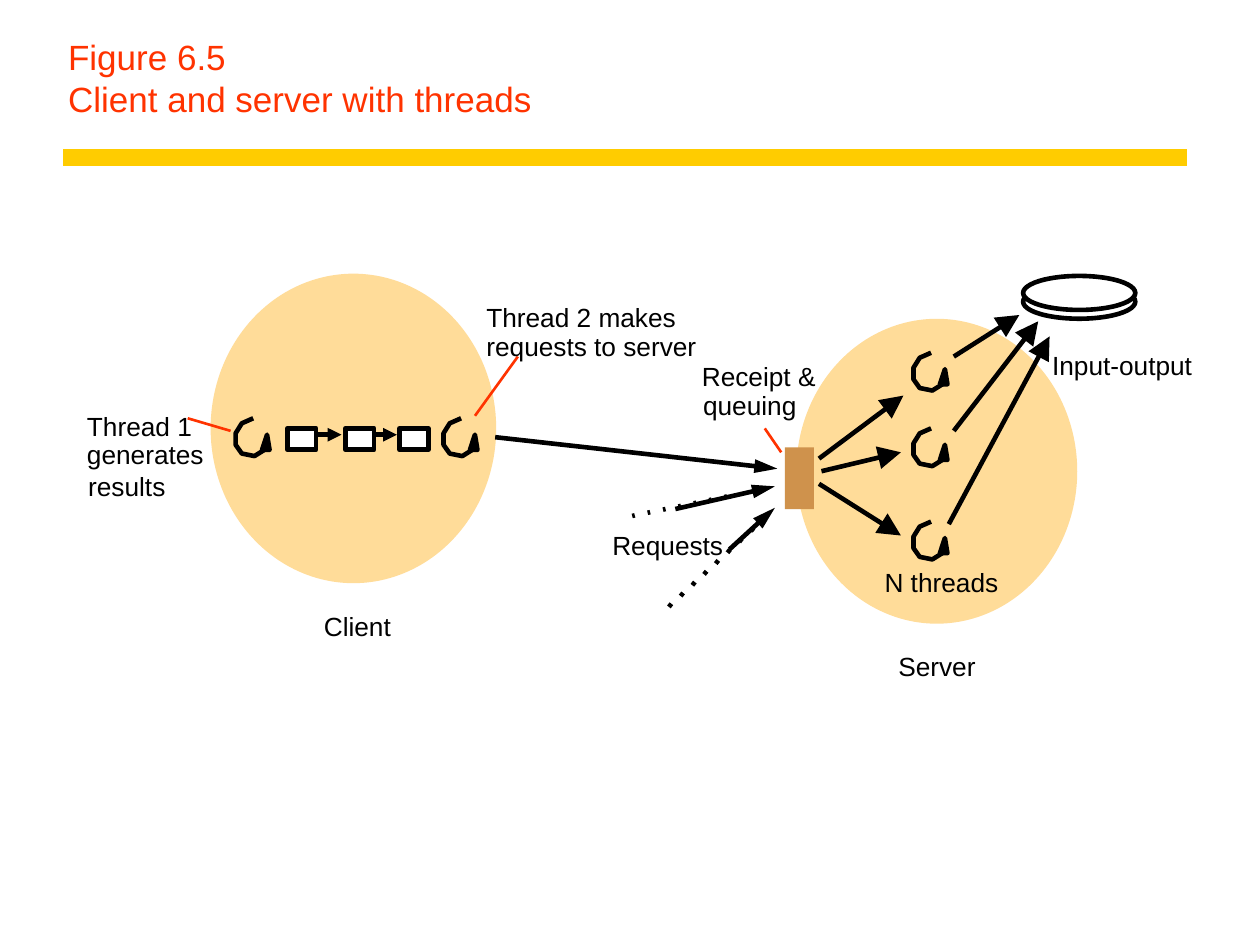
from dataclasses import dataclass
from typing import Any

from lxml.etree import SubElement
from pptx import Presentation
from pptx.dml.color import RGBColor
from pptx.enum.shapes import MSO_CONNECTOR as Link, MSO_SHAPE as Shape
from pptx.enum.text import MSO_ANCHOR as Anchor, MSO_AUTO_SIZE as Fit, PP_ALIGN as Align
from pptx.oxml.ns import qn
from pptx.util import Inches, Pt

BLACK = RGBColor(0x00, 0x00, 0x00)
WHITE = RGBColor(0xFF, 0xFF, 0xFF)
RED = RGBColor(0xFF, 0x33, 0x00)
GOLD = RGBColor(0xFF, 0xCC, 0x00)
PEACH = RGBColor(0xFF, 0xDC, 0x99)
BROWN = RGBColor(0xCF, 0x92, 0x4C)

FONT = "Arial"
COLS, ROWS = 100, 75
CELL = Inches(0.1)
INK = 2.64
SLACK = 0.5

LOOP = [(2.3, 2.5), (1.5, 3), (0.5, 2.8), (0, 2.1), (0, 1.2), (0.5, 0.4), (1.4, 0)]
TIP = [(2.1, 2.5), (2.5, 1.3), (2.7, 2.5)]


def cells(*nums):
    return [round(n * CELL) for n in nums]


def style(run, size, color):
    run.font.name = FONT
    run.font.size = Pt(size)
    run.font.color.rgb = color


def paint(shape, fill, edge):
    shape.shadow.inherit = False
    if fill is None:
        shape.fill.background()
    else:
        shape.fill.solid()
        shape.fill.fore_color.rgb = fill
    if edge is None:
        shape.line.fill.background()
    else:
        shape.line.color.rgb = edge
        shape.line.width = Pt(INK)


@dataclass
class Box:
    """A region of the slide grid; parts are placed from its top left cell."""
    shapes: Any
    col: float
    row: float

    def solid(self, kind, x, y, w, h, fill, edge=None):
        place = cells(self.col + x, self.row + y, w, h)
        paint(self.shapes.add_shape(kind, *place), fill, edge)

    def line(self, x1, y1, x2, y2, color=BLACK, width=INK, head=None):
        ends = cells(self.col + x1, self.row + y1, self.col + x2, self.row + y2)
        link = self.shapes.add_connector(Link.STRAIGHT, *ends)
        link.line.color.rgb = color
        link.line.width = Pt(width)
        props = link._element.spPr
        if head:
            wide, size = head
            SubElement(props.find(qn("a:ln")), qn("a:tailEnd"),
                       type="triangle", w=wide, len=size)
        SubElement(props, qn("a:effectLst"))

    def arrow(self, *ends, wide="med", size="lg"):
        self.line(*ends, head=(wide, size))

    def note(self, *ends):
        self.line(*ends, color=RED, width=1.5)

    def label(self, text, x, y, w):
        place = cells(self.col + x, self.row + y, w + SLACK, 2.5)
        frame = self.shapes.add_textbox(*place).text_frame
        frame.word_wrap = False
        frame.auto_size = Fit.NONE
        frame.margin_left = frame.margin_right = 0
        frame.margin_top = frame.margin_bottom = 0
        para = frame.paragraphs[0]
        para.alignment = Align.LEFT
        run = para.add_run()
        run.text = text
        style(run, 15, BLACK)

    def trace(self, x, y, points, close):
        spots = [cells(self.col + x + dx, self.row + y + dy) for dx, dy in points]
        pen = self.shapes.build_freeform(*spots[0])
        pen.add_line_segments(spots[1:], close=close)
        paint(pen.convert_to_shape(), BLACK if close else None, BLACK)

    def thread(self, x, y):
        self.trace(x, y, TIP, True)
        self.trace(x, y, LOOP, False)

    def dots(self, x, y, step, dash, count):
        for i in range(count):
            left, top = x + i * step[0], y + i * step[1]
            self.line(left, top, left + dash[0], top + dash[1])


def heading(slide, box):
    title = slide.shapes.title
    title.left, title.top, title.width, title.height = cells(
        box.col, box.row, 89.7, 7.5)
    frame = title.text_frame
    frame.auto_size = Fit.NONE
    frame.vertical_anchor = Anchor.BOTTOM
    para = frame.paragraphs[0]
    para.alignment = Align.LEFT
    for i, text in enumerate(["Figure 6.5", "Client and server with threads"]):
        if i:
            para.add_line_break()
        run = para.add_run()
        run.text = text
        style(run, 20, RED)
    box.line(0.6, 10, 89.8, 10, GOLD, 10)


def server(box):
    box.solid(Shape.OVAL, 8.2, 4.3, 22.3, 24.2, PEACH)
    for y in (1.6, 0.9):
        box.solid(Shape.OVAL, 26.2, y, 8.9, 2.7, WHITE, BLACK)
    for ends in [(10, 15.4, 16.7, 10.4), (10.2, 16.4, 16.5, 14.9),
                 (10, 17.4, 16.5, 21.5), (20.7, 7.3, 25.9, 4),
                 (20.7, 13.2, 27.4, 4.5), (20.3, 20.6, 28.3, 5.7)]:
        box.arrow(*ends, wide="lg")
    for y in (7, 13, 20.4):
        box.thread(17.5, y)
    box.solid(Shape.RECTANGLE, 7.3, 14.5, 2.3, 4.9, BROWN)
    box.note(5.7, 13, 7, 14.9)
    for text, x, y, w in [("Receipt &", 0.7, 7.6, 9), ("queuing", 0.8, 9.9, 7.4),
                          ("Input-output", 28.5, 6.7, 11.1),
                          ("N threads", 15.2, 23.9, 9), ("Server", 16.3, 30.6, 6.1)]:
        box.label(text, x, y, w)


def client(box):
    box.solid(Shape.OVAL, 10.9, 0.9, 22.3, 24.2, PEACH, PEACH)
    for x in (12.7, 29.2):
        box.thread(x, 12.2)
    for x in (16.8, 21.4, 25.7):
        box.solid(Shape.RECTANGLE, x, 13, 2.3, 1.7, WHITE, BLACK)
    for x in (19.1, 23.5):
        box.arrow(x, 13.5, x + 2, 13.5, size="med")
    box.note(8.9, 12.2, 12.3, 13.2)
    box.note(31.7, 12, 35.1, 7.3)
    for text, x, y, w in [("Thread 1", 0.9, 11.6, 8.3), ("generates", 0.9, 13.8, 9.9),
                          ("results", 1, 16.3, 6.1), ("Thread 2 makes", 32.6, 2.9, 15.1),
                          ("requests to server", 32.6, 5.2, 16.7),
                          ("Client", 19.7, 27.4, 5.3)]:
        box.label(text, x, y, w)


def requests(box):
    for ends in [(1.3, 1.7, 23.7, 4.2), (15.6, 7.4, 23.5, 5.6),
                 (19.9, 10.6, 23.5, 7.3)]:
        box.arrow(*ends)
    box.dots(19.7, 6.4, (-1.22, 0.25), (-0.2, 0.05), 7)
    box.dots(21.8, 8.9, (-0.93, 0.86), (-0.2, 0.25), 8)
    box.label("Requests", 10.6, 9, 8.8)


def main():
    deck = Presentation()
    deck.slide_width, deck.slide_height = cells(COLS, ROWS)
    slide = deck.slides.add_slide(deck.slide_layouts[5])
    heading(slide, Box(slide.shapes, 4.4, 2.5))
    server(Box(slide.shapes, 55, 21))
    client(Box(slide.shapes, 6, 21))
    requests(Box(slide.shapes, 38, 33))
    deck.save("out.pptx")


if __name__ == "__main__":
    main()
